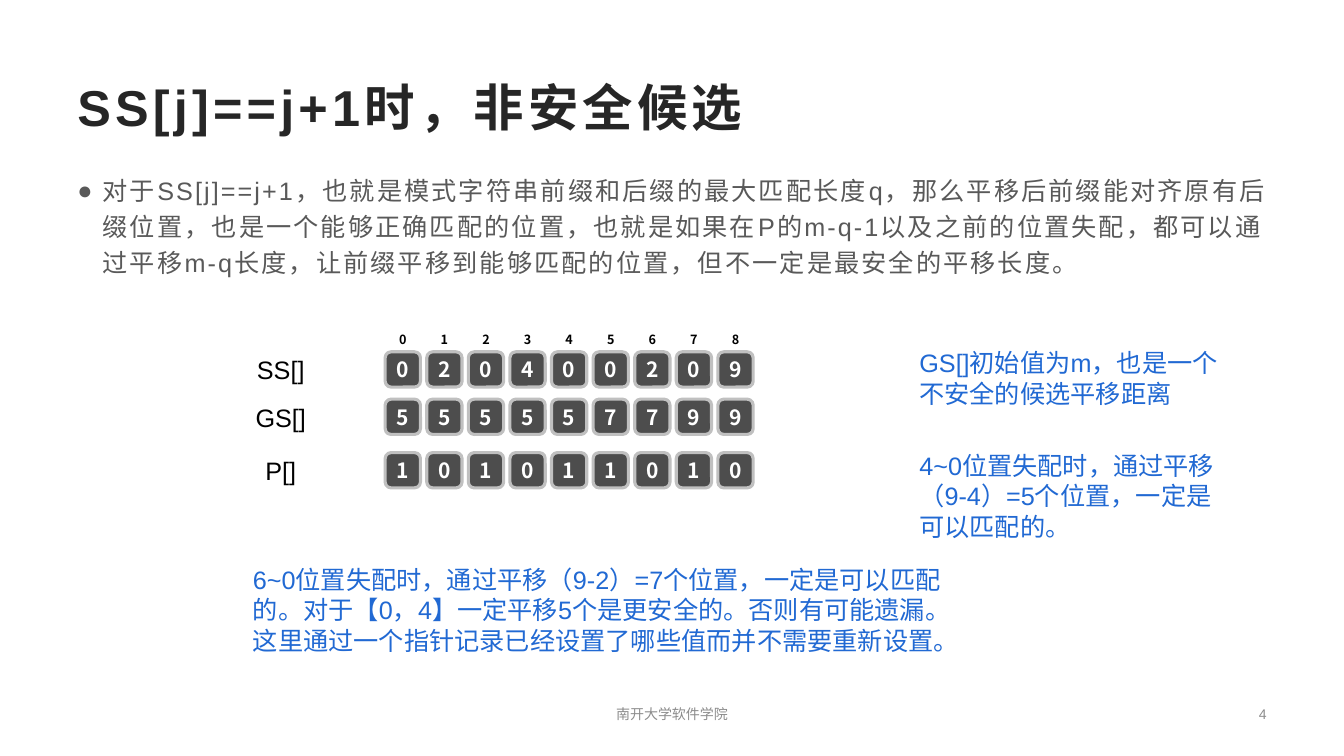
from lxml import etree
from pptx import Presentation
from pptx.dml.color import RGBColor
from pptx.enum.shapes import MSO_SHAPE
from pptx.enum.text import MSO_ANCHOR, PP_ALIGN
from pptx.oxml.ns import qn
from pptx.util import Inches, Pt

ROUNDED = MSO_SHAPE.ROUNDED_RECTANGLE
TOP, MIDDLE = MSO_ANCHOR.TOP, MSO_ANCHOR.MIDDLE
LEFT, CENTER, RIGHT = PP_ALIGN.LEFT, PP_ALIGN.CENTER, PP_ALIGN.RIGHT
LATIN, CHINESE = "Arial", "Noto Sans CJK SC"
WIDTH, HEIGHT = 13.33, 7.5
MARGIN, CONTENT_WIDTH = 0.67, 12
GRID_LEFT, GRID_PITCH, CELL = 3.82, 0.4125, 0.35
LABEL_LEFT, LABEL_WIDTH, LABEL_HEIGHT = 2.07, 1.43, 0.4
NOTE_LEFT, NOTE_WIDTH = 9.02, 3.21
FOOTER_TOP, FOOTER_HEIGHT = 6.91, 0.35

TITLE = "SS[j]==j+1时，非安全候选"
BODY = (
    "对于SS[j]==j+1，也就是模式字符串前缀和后缀的最大匹配长度q，那么平移后前缀能对齐原有"
    "后缀位置，也是一个能够正确匹配的位置，也就是如果在P的m-q-1以及之前的位置失配，都可"
    "以通过平移m-q长度，让前缀平移到能够匹配的位置，但不一定是最安全的平移长度。"
)
INDEX_TOP, INDICES = 3.19, "012345678"
ARRAYS = [
    ("SS[]", 3.49, "020400209"),
    ("GS[]", 3.96, "555557799"),
    ("P[]", 4.49, "101011010"),
]
NOTES = [
    ("GS[]初始值为m，也是一个不安全的候选平移距离", (NOTE_LEFT, 3.4, NOTE_WIDTH, 0.71)),
    ("4~0位置失配时，通过平移（9-4）=5个位置，一定是可以匹配的。",
     (NOTE_LEFT, 4.42, NOTE_WIDTH, 1.01)),
    ("6~0位置失配时，通过平移（9-2）=7个位置，一定是可以匹配的。对于【0，4】一定平移5个"
     "是更安全的。否则有可能遗漏。这里通过一个指针记录已经设置了哪些值而并不需要重新设置。",
     (2.41, 5.55, 7.05, 1.01)),
]
FOOTERS = [
    ("南开大学软件学院", (4.5, FOOTER_TOP, 4.33, FOOTER_HEIGHT), CENTER),
    ("4", (9.71, FOOTER_TOP, 2.95, FOOTER_HEIGHT), RIGHT),
]


def color(value):
    """Turn a hex string into a colour."""
    return RGBColor.from_string(value)


def write(shape, text, size=18, ink="000000", font=LATIN, bold=False, align=LEFT,
          anchor=TOP, spacing=0, wrap=True):
    """Write one formatted paragraph into a shape and return it."""
    frame = shape.text_frame
    frame.word_wrap = wrap
    frame.vertical_anchor = anchor
    paragraph = frame.paragraphs[0]
    paragraph.alignment = align
    run = paragraph.add_run()
    run.text = text
    run.font.name = font
    run.font.size = Pt(size)
    run.font.bold = bold
    run.font.color.rgb = color(ink)
    properties = run.font._element
    properties.set("lang", "zh-CN")
    properties.set("spc", str(int(spacing * 100)))
    etree.SubElement(properties, qn("a:ea")).set("typeface", CHINESE)
    return paragraph


def add_text(slide, text, box, **text_format):
    """Add a text box and return its paragraph."""
    shape = slide.shapes.add_textbox(*map(Inches, box))
    return write(shape, text, **text_format)


def add_bullet(paragraph, character, indent):
    """Give a paragraph a hanging bullet."""
    properties = paragraph._p.get_or_add_pPr()
    properties.set("marL", str(Inches(indent)))
    properties.set("indent", str(-Inches(indent)))
    etree.SubElement(properties, qn("a:buFont")).set("typeface", LATIN)
    etree.SubElement(properties, qn("a:buChar")).set("char", character)


def add_cells(slide, values, top, fill, border=None, **text_format):
    """Add one row of rounded cells on the array grid."""
    for column, value in enumerate(values):
        left = GRID_LEFT + column * GRID_PITCH
        shape = slide.shapes.add_shape(ROUNDED, *map(Inches, (left, top, CELL, CELL)))
        shape.shadow.inherit = False
        shape.fill.solid()
        shape.fill.fore_color.rgb = color(fill)
        if border:
            shape.line.color.rgb = color(border)
            shape.line.width = Pt(2.25)
        else:
            shape.line.fill.background()
        frame = shape.text_frame
        frame.margin_left = frame.margin_right = frame.margin_top = frame.margin_bottom = 0
        write(shape, value, font=CHINESE, bold=True, align=CENTER, anchor=MIDDLE,
              wrap=False, **text_format)


def main():
    """Build the slide and save it."""
    presentation = Presentation()
    presentation.slide_width, presentation.slide_height = Inches(WIDTH), Inches(HEIGHT)
    slide = presentation.slides.add_slide(presentation.slide_layouts[6])

    add_text(slide, TITLE, (MARGIN, 0.67, CONTENT_WIDTH, 0.77), size=36, ink="262626",
             bold=True, anchor=MIDDLE, spacing=3)
    body = add_text(slide, BODY, (MARGIN, 1.63, CONTENT_WIDTH, 1.2), ink="595959", spacing=1.5)
    body.line_spacing = 1.2
    body.space_after = Pt(10)
    add_bullet(body, "●", 0.25)

    add_cells(slide, INDICES, INDEX_TOP, "FFFFFF", size=9)
    for label, top, values in ARRAYS:
        add_text(slide, label, (LABEL_LEFT, top - 0.02, LABEL_WIDTH, LABEL_HEIGHT), align=CENTER)
        add_cells(slide, values, top, "4D4D4D", border="C0C0C0", size=15, ink="FFFFFF")

    for text, box in NOTES:
        add_text(slide, text, box, ink="2169D3")
    for text, box, align in FOOTERS:
        add_text(slide, text, box, size=10, ink="8C8C8C", align=align, anchor=MIDDLE)
    presentation.save("out.pptx")


if __name__ == "__main__":
    main()
